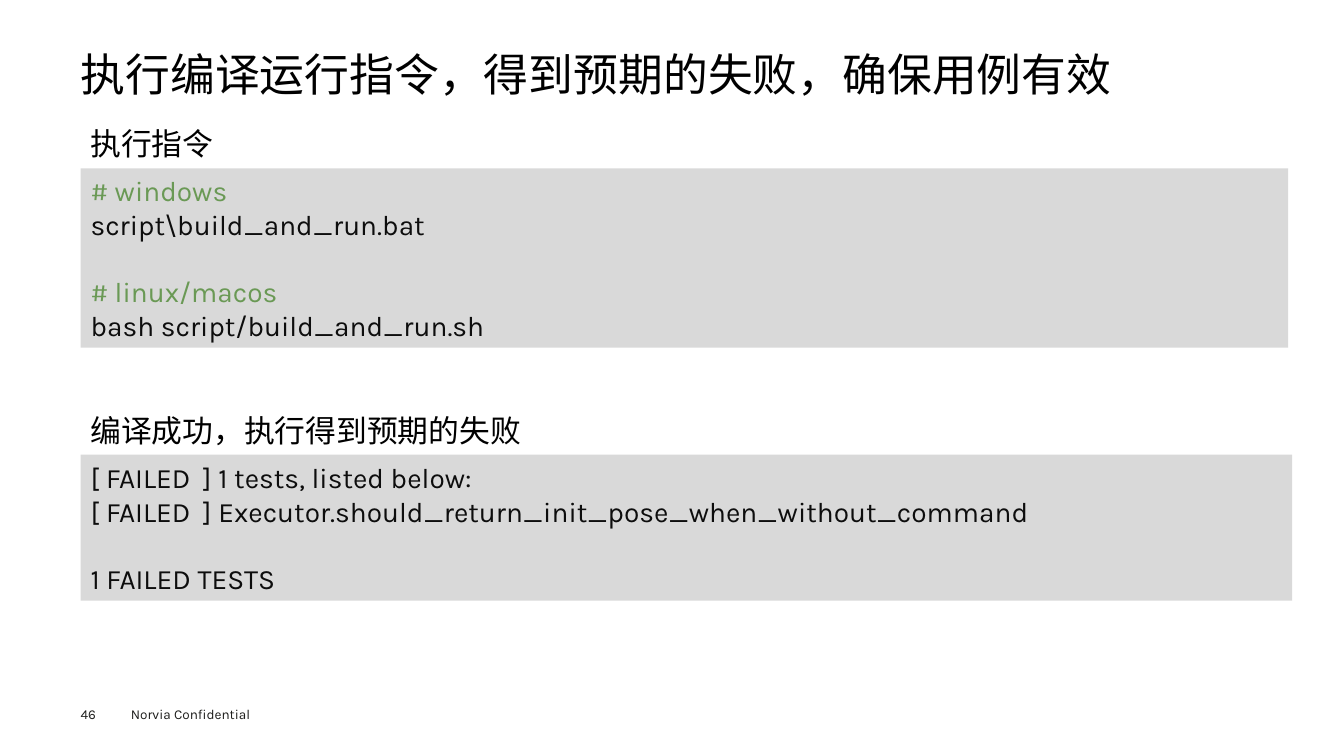
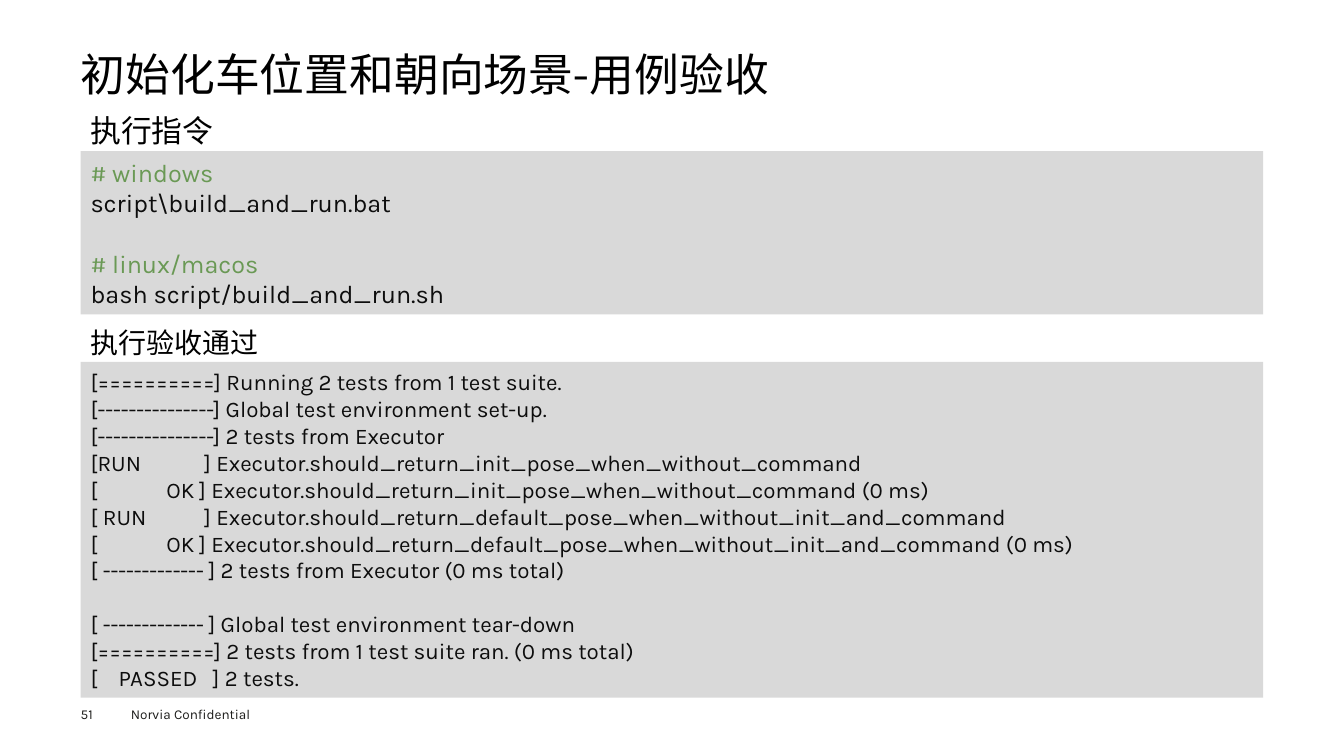
from lxml import etree
from pptx import Presentation
from pptx.dml.color import RGBColor
from pptx.enum.shapes import MSO_SHAPE
from pptx.enum.text import MSO_ANCHOR, PP_ALIGN
from pptx.oxml.ns import qn
from pptx.util import Pt

RECTANGLE = MSO_SHAPE.RECTANGLE
TOP = MSO_ANCHOR.TOP
MIDDLE = MSO_ANCHOR.MIDDLE
LEFT = PP_ALIGN.LEFT

LEFT_EDGE = 57.6
LINE_PITCH = 1.2
PANEL_FILL = "D9D9D9"
CODE_COLOUR = "0D0D0D"
COMMENT_COLOUR = "6A9955"

LATIN_FONT = "Karla"
HEADING_FONT = "Noto Sans CJK SC"
TITLE = {"size": 32, "colour": "000000", "name": LATIN_FONT, "spacing": 0.9, "inset": (0, 0), "anchor": MIDDLE}
HEADING = {"size": 22, "colour": "000000", "name": HEADING_FONT, "spacing": 1.5, "inset": (7.2, 3.6), "anchor": TOP}
CODE = {"size": 20, "colour": CODE_COLOUR, "name": LATIN_FONT, "spacing": 1.0, "inset": (7.2, 3.6), "anchor": MIDDLE}
FOOTER = {"size": 9.7, "colour": "1D1D1B", "name": LATIN_FONT, "spacing": 1.0, "inset": (7.2, 3.6), "anchor": TOP}
PAGE_NUMBER = {**FOOTER, "inset": (0, 0)}

COMMANDS = """# windows
script\\build_and_run.bat

# linux/macos
bash script/build_and_run.sh"""

FAILED_OUTPUT = """[ FAILED  ] 1 tests, listed below:
[ FAILED  ] Executor.should_return_init_pose_when_without_command

1 FAILED TESTS"""

PASSED_OUTPUT = """[==========] Running 2 tests from 1 test suite.
[---------------] Global test environment set-up.
[---------------] 2 tests from Executor
[RUN            ] Executor.should_return_init_pose_when_without_command
[             OK ] Executor.should_return_init_pose_when_without_command (0 ms)
[ RUN           ] Executor.should_return_default_pose_when_without_init_and_command
[             OK ] Executor.should_return_default_pose_when_without_init_and_command (0 ms)
[ ------------- ] 2 tests from Executor (0 ms total)

[ ------------- ] Global test environment tear-down
[==========] 2 tests from 1 test suite ran. (0 ms total)
[    PASSED   ] 2 tests."""

SLIDES = [
    {
        "number": "46",
        "title": "执行编译运行指令，得到预期的失败，确保用例有效",
        "sections": [
            {"heading": "执行指令", "heading_top": 72.7, "heading_size": 22,
             "code": COMMANDS, "code_box": (120.2, 862.6, 128.2), "code_size": 20},
            {"heading": "编译成功，执行得到预期的失败", "heading_top": 277.2, "heading_size": 22,
             "code": FAILED_OUTPUT, "code_box": (324.7, 865.4, 104.4), "code_size": 20},
        ],
    },
    {
        "number": "51",
        "title": "初始化车位置和朝向场景-用例验收",
        "sections": [
            {"heading": "执行指令", "heading_top": 63.4, "heading_size": 22,
             "code": COMMANDS, "code_box": (108, 844.6, 116.6), "code_size": 18},
            {"heading": "执行验收通过", "heading_top": 216.7, "heading_size": 20,
             "code": PASSED_OUTPUT, "code_box": (258.5, 844.6, 239.8), "code_size": 16},
        ],
    },
]


def colour(value):
    return RGBColor.from_string(value)


def write_text(shape, text, style):
    frame = shape.text_frame
    horizontal, vertical = style["inset"]
    settings = {"word_wrap": True, "vertical_anchor": style["anchor"],
                "margin_left": Pt(horizontal), "margin_right": Pt(horizontal),
                "margin_top": Pt(vertical), "margin_bottom": Pt(vertical)}
    for name, value in settings.items():
        setattr(frame, name, value)
    paragraph = frame.paragraphs[0]
    for block_index, block in enumerate(text.split("\n\n")):
        for line_index, line in enumerate(block.split("\n")):
            if block_index or line_index:
                paragraph = frame.add_paragraph()
            if block_index and not line_index:
                paragraph.space_before = Pt(style["size"] * LINE_PITCH)
            paragraph.alignment = LEFT
            paragraph.line_spacing = style["spacing"]
            run = paragraph.add_run()
            run.text = line
            for name, value in {"size": Pt(style["size"]), "name": style["name"]}.items():
                setattr(run.font, name, value)
            run.font.color.rgb = colour(COMMENT_COLOUR if line.startswith("# ") else style["colour"])
            east_asian = etree.SubElement(run.font._element, qn("a:ea"))
            east_asian.set("typeface", LATIN_FONT)


presentation = Presentation()
presentation.slide_width = Pt(960)
presentation.slide_height = Pt(540)

for content in SLIDES:
    slide = presentation.slides.add_slide(presentation.slide_layouts[6])
    labels = [
        ("Norvia Confidential", (86.4, 500.4, 115.2, 19.4), FOOTER),
        (content["number"], (LEFT_EDGE, 504, 39.6, 11.5), PAGE_NUMBER),
        (content["title"], (LEFT_EDGE, 35.3, 844.6, 38.9), TITLE),
    ]
    for section in content["sections"]:
        top, width, height = section["code_box"]
        panel = slide.shapes.add_shape(RECTANGLE, Pt(LEFT_EDGE), Pt(top), Pt(width), Pt(height))
        panel.shadow.inherit = False
        panel.fill.solid()
        panel.fill.fore_color.rgb = colour(PANEL_FILL)
        panel.line.fill.background()
        write_text(panel, section["code"], {**CODE, "size": section["code_size"]})
        labels.append((section["heading"], (LEFT_EDGE, section["heading_top"], 403.2, 43.2),
                       {**HEADING, "size": section["heading_size"]}))
    for text, box, style in labels:
        label = slide.shapes.add_textbox(*map(Pt, box))
        write_text(label, text, style)

presentation.save("out.pptx")
